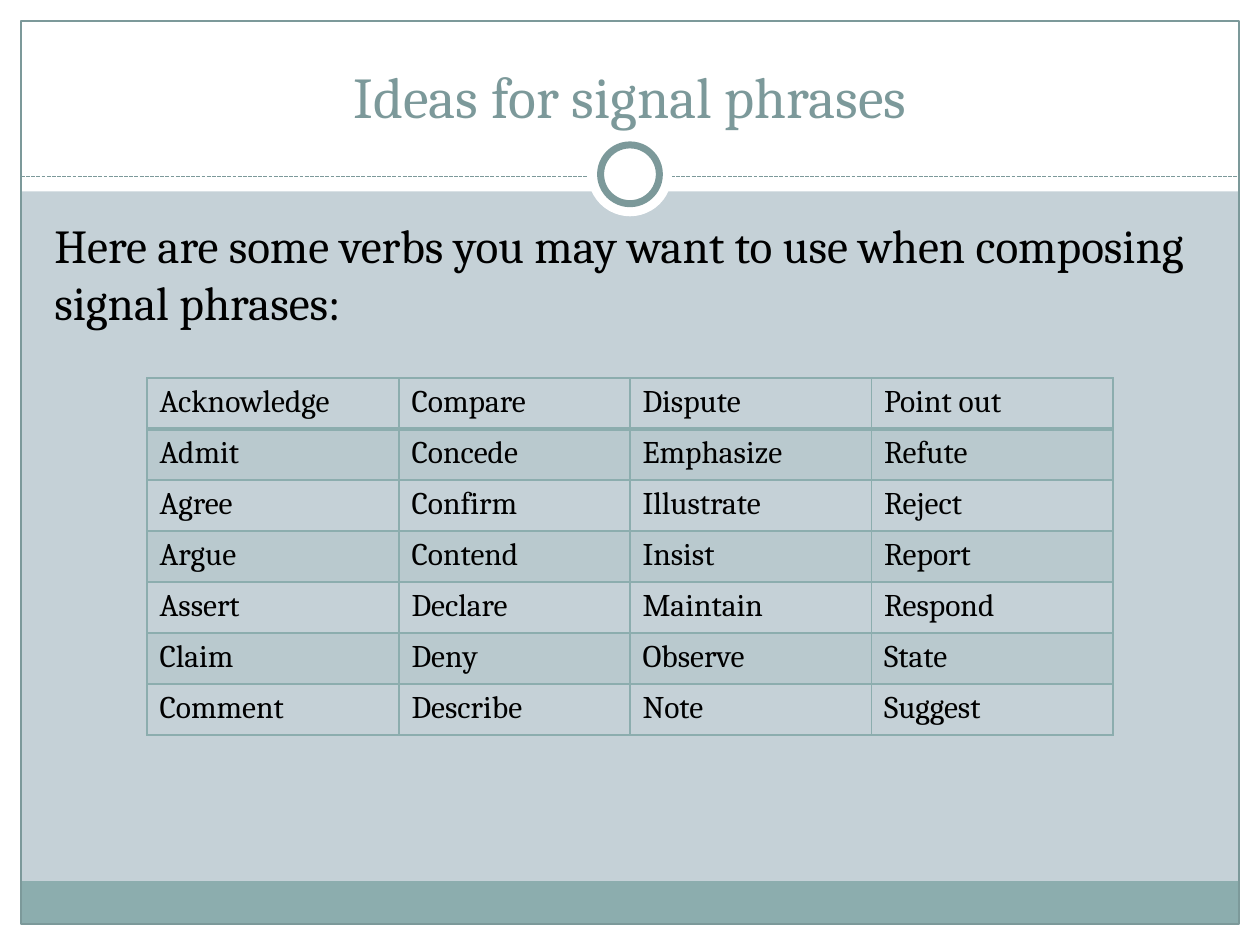
from dataclasses import dataclass

from lxml.etree import SubElement
from pptx import Presentation
from pptx.dml.color import RGBColor
from pptx.enum.dml import MSO_LINE_DASH_STYLE as Dash
from pptx.enum.shapes import MSO_CONNECTOR as Conn, MSO_SHAPE as Shape
from pptx.enum.text import MSO_ANCHOR as Anchor, PP_ALIGN as Align
from pptx.oxml.ns import qn
from pptx.util import Inches, Pt

COLS, ROWS = 60, 45
UNIT = Inches(10) / COLS


@dataclass(frozen=True)
class Theme:
    """Colours, font and type sizes of the slide."""
    font: str = "Cambria"
    white: str = "FFFFFF"
    ground: str = "C5D1D7"
    accent: str = "8CADAE"
    dark: str = "7C999A"
    ink: str = "000000"
    title: int = 33
    body: int = 27
    cell: int = 18


T = Theme()
VERBS = [
    "Acknowledge Admit Agree Argue Assert Claim Comment".split(),
    "Compare Concede Confirm Contend Declare Deny Describe".split(),
    "Dispute Emphasize Illustrate Insist Maintain Observe Note".split(),
    ["Point out", "Refute", "Reject", "Report", "Respond", "State", "Suggest"],
]


def grid(*units):
    """Turn grid units into slide lengths."""
    return [round(u * UNIT) for u in units]


def rgb(code):
    """Read a colour code."""
    return RGBColor.from_string(code)


def write(tf, text, size=T.body, color=T.ink, align=Align.LEFT, anchor=Anchor.TOP):
    """Put one formatted paragraph in a text frame."""
    tf.word_wrap = True
    tf.vertical_anchor = anchor
    p = tf.paragraphs[0]
    p.alignment = align
    r = p.add_run()
    r.text = text
    r.font.name, r.font.size = T.font, Pt(size)
    r.font.color.rgb = rgb(color)


def add_shape(s, kind, box, fill=None, line=None, width=0.75):
    """Add a flat preset shape in a grid box."""
    sp = s.shapes.add_shape(kind, *grid(*box))
    sp.shadow.inherit = False
    if fill:
        sp.fill.solid()
        sp.fill.fore_color.rgb = rgb(fill)
    else:
        sp.fill.background()
    if line:
        sp.line.color.rgb = rgb(line)
        sp.line.width = Pt(width)
    else:
        sp.line.fill.background()


def add_frame(s, box):
    """Draw the white margins, footer band and outline around a box."""
    x, y, w, h = box
    margins = [(0, y + h, COLS, y), (0, 0, COLS, 9.12),
               (0, 0, x, ROWS), (x + w, 0, x, ROWS)]
    for margin in margins:
        add_shape(s, Shape.RECTANGLE, margin, fill=T.white)
    add_shape(s, Shape.RECTANGLE, (x, y + h - 2.04, w, 2.04), fill=T.accent)
    add_shape(s, Shape.RECTANGLE, box, line=T.dark)


def add_divider(s, box):
    """Draw the dashed rule with a ring at its centre."""
    x, y, w, h = box
    rule = y + h / 2 + 0.1
    cx = s.shapes.add_connector(Conn.STRAIGHT, *grid(x, rule, x + w, rule))
    cx.line.color.rgb = rgb(T.dark)
    cx.line.width = Pt(0.75)
    cx.line.dash_style = Dash.SQUARE_DOT
    SubElement(cx._element.spPr, qn("a:effectLst"))
    for size, line in ((h, None), (0.7 * h, T.dark)):
        ring = (x + (w - size) / 2, y + (h - size) / 2, size, size)
        add_shape(s, Shape.OVAL, ring, fill=T.white, line=line, width=4)


def add_text(s, box, text, **fmt):
    """Place a text box in a grid box."""
    write(s.shapes.add_textbox(*grid(*box)).text_frame, text, **fmt)


def add_borders(cell, widths):
    """Outline a cell with one line width for each side."""
    tcPr = cell._tc.get_or_add_tcPr()
    for side, width in widths.items():
        ln = SubElement(tcPr, qn(f"a:ln{side}"), w=str(Pt(width)))
        fill = SubElement(ln, qn("a:solidFill"))
        SubElement(fill, qn("a:srgbClr"), val=T.accent)


def fill_cell(cell, banded):
    """Give a banded cell a light tint and leave others clear."""
    if not banded:
        cell.fill.background()
        return
    cell.fill.solid()
    cell.fill.fore_color.rgb = rgb(T.accent)
    color = cell._tc.tcPr.find(qn("a:solidFill")).find(qn("a:srgbClr"))
    SubElement(color, qn("a:alpha"), val="20000")


def add_verbs(s, box, widths):
    """Build the banded verb table in a box."""
    rows = list(zip(*VERBS))
    table = s.shapes.add_table(len(rows), len(widths), *grid(*box)).table
    table.first_row = table.horz_banding = False
    for col, width in zip(table.columns, grid(*widths)):
        col.width = width
    for i, verbs in enumerate(rows):
        table.rows[i].height = grid(box[3] / len(rows))[0]
        sides = {"L": 1, "R": 1, "T": 2 if i == 1 else 1, "B": 2 if i == 0 else 1}
        for j, verb in enumerate(verbs):
            cell = table.cell(i, j)
            write(cell.text_frame, verb, size=T.cell)
            add_borders(cell, sides)
            fill_cell(cell, i % 2 == 1)


def main():
    """Build and save the slide."""
    prs = Presentation()
    prs.slide_width, prs.slide_height = grid(COLS, ROWS)
    s = prs.slides.add_slide(prs.slide_layouts[6])
    s.background.fill.solid()
    s.background.fill.fore_color.rgb = rgb(T.ground)
    add_frame(s, (1, 1, 58, 43))
    add_divider(s, (1, 6.3, 58, 4))
    add_text(s, (2, 1.5, 56, 5), "Ideas for signal phrases", size=T.title,
             color=T.dark, align=Align.CENTER, anchor=Anchor.BOTTOM)
    add_text(s, (2, 10, 55.8, 30), "Here are some verbs you may want to use "
             "when composing signal phrases:")
    add_verbs(s, (7, 18, 46, 17), (12, 11, 11.5, 11.5))
    prs.save("out.pptx")


if __name__ == "__main__":
    main()
